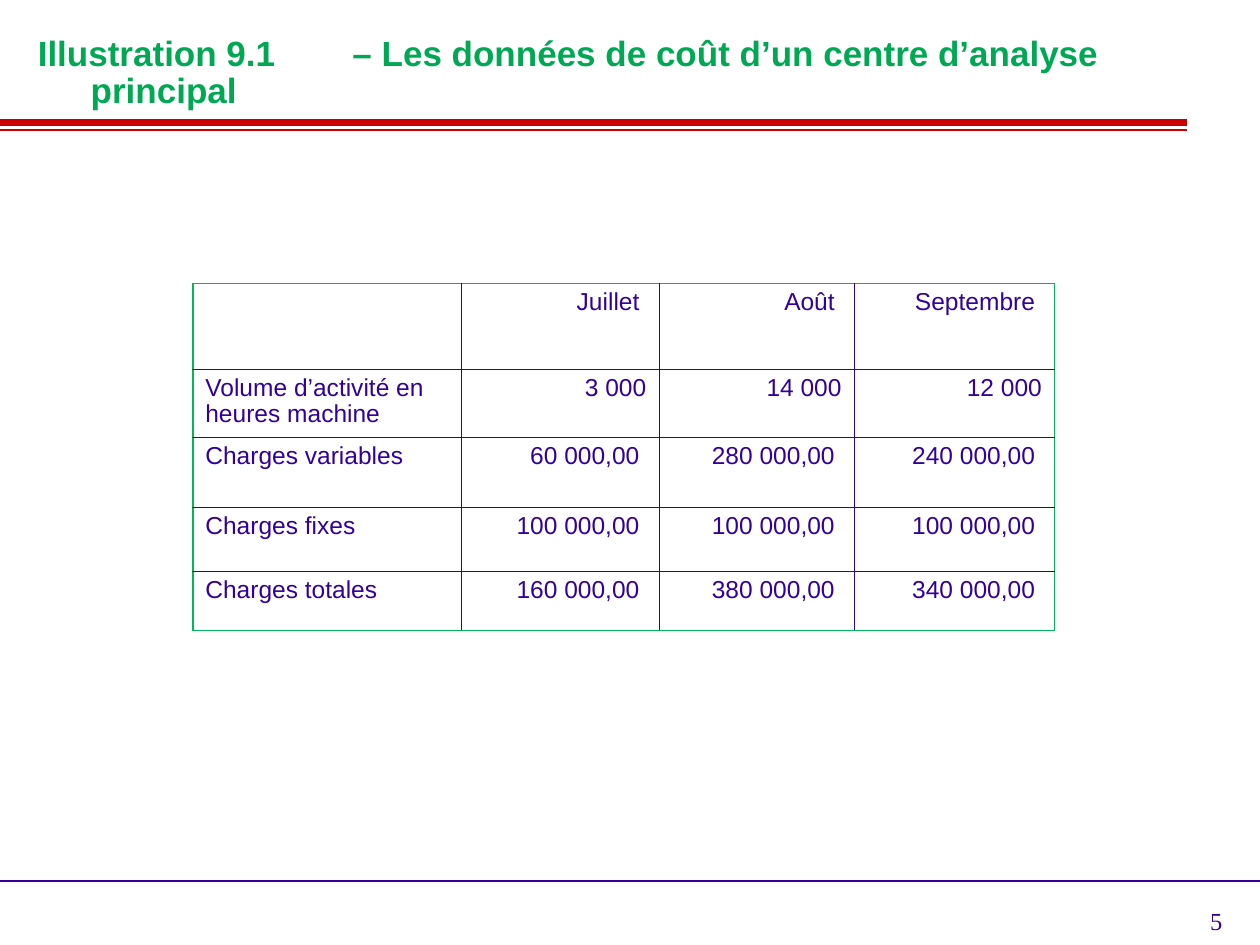
from dataclasses import dataclass

from lxml import etree
from pptx import Presentation
from pptx.dml.color import RGBColor
from pptx.enum.shapes import MSO_CONNECTOR
from pptx.enum.text import MSO_ANCHOR, MSO_AUTO_SIZE, PP_ALIGN
from pptx.oxml.ns import qn
from pptx.util import Inches, Pt

STRAIGHT = MSO_CONNECTOR.STRAIGHT
MIDDLE = MSO_ANCHOR.MIDDLE
NO_AUTOFIT = MSO_AUTO_SIZE.NONE
LEFT, RIGHT = PP_ALIGN.LEFT, PP_ALIGN.RIGHT
TITLE_ONLY = 5


@dataclass(frozen=True)
class Theme:
    red: str = "CC0000"
    purple: str = "330099"
    title_green: str = "00A854"
    frame_green: str = "00B75B"
    sans: str = "Arial"
    serif: str = "Times New Roman"
    title_size: int = 20
    body_size: int = 14
    frame_width: float = 1.08
    grid_width: float = 0.45


THEME = Theme()

TITLE = "Illustration 9.1 \t – Les données de coût d’un centre d’analyse principal"
TITLE_INDENT = 0.42
TITLE_TAB = 2

# Left, top and right end of each rule, with its colour and width
RULES = [
    (1.03, 9.42, THEME.red, 1),
    (0.97, 9.42, THEME.red, 4),
    (6.99, 10, THEME.purple, 1),
]

COLUMN_WIDTHS = [2.13, 1.57, 1.55, 1.59]
ROW_HEIGHTS = [0.68, 0.54, 0.55, 0.51, 0.47]
COSTS = [
    ["", "Juillet ", "Août ", "Septembre "],
    ["Volume d’activité en heures machine", "3 000", "14 000", "12 000"],
    ["Charges variables", "60 000,00 ", "280 000,00 ", "240 000,00 "],
    ["Charges fixes", "100 000,00 ", "100 000,00 ", "100 000,00 "],
    ["Charges totales", "160 000,00 ", "380 000,00 ", "340 000,00 "],
]


def set_format(target, values):
    for name, value in values.items():
        setattr(target, name, value)


def write_text(para, text, font_name, size, color, bold=False, **para_format):
    para.text = text
    set_format(para, para_format)
    set_format(para.font, {"name": font_name, "size": Pt(size), "bold": bold})
    para.font.color.rgb = RGBColor.from_string(color)


def add_rule(page, top, right, color, width):
    rule = page.shapes.add_connector(
        STRAIGHT, Inches(0), Inches(top), Inches(right), Inches(top))
    rule.line.color.rgb = RGBColor.from_string(color)
    rule.line.width = Pt(width)
    etree.SubElement(rule.element.spPr, qn("a:effectLst"))


def set_hanging_tab(para, indent, tab):
    """Give the paragraph a hanging indent and one left tab stop, in inches."""
    properties = para._p.get_or_add_pPr()
    properties.set("marL", str(Inches(indent)))
    properties.set("indent", str(-Inches(indent)))
    tabs = etree.SubElement(properties, qn("a:tabLst"))
    etree.SubElement(tabs, qn("a:tab"), pos=str(Inches(tab)), algn="l")


def add_title(page):
    title = page.shapes.title
    set_format(title, {"left": Inches(0.2), "top": Inches(-0.08),
                       "width": Inches(9.45), "height": Inches(1.33)})
    frame = title.text_frame
    set_format(frame, {"word_wrap": True, "auto_size": NO_AUTOFIT,
                       "vertical_anchor": MIDDLE})
    para = frame.paragraphs[0]
    set_hanging_tab(para, TITLE_INDENT, TITLE_TAB)
    write_text(para, TITLE, THEME.sans, THEME.title_size, THEME.title_green,
               bold=True, alignment=LEFT, line_spacing=0.9)


def add_page_number(page, number):
    box = page.shapes.add_textbox(
        Inches(7.47), Inches(7.14), Inches(2.33), Inches(0.52))
    box.text_frame.word_wrap = True
    write_text(box.text_frame.paragraphs[0], number, THEME.serif,
               THEME.body_size, THEME.purple, alignment=RIGHT)


def set_borders(cell, outer_sides):
    """Draw the frame on the outer sides of a cell and the grid on the others."""
    properties = cell._tc.get_or_add_tcPr()
    for side in "LRTB":
        if side in outer_sides:
            color, width = THEME.frame_green, THEME.frame_width
        else:
            color, width = THEME.purple, THEME.grid_width
        line = etree.SubElement(properties, qn(f"a:ln{side}"), w=str(Pt(width)))
        fill = etree.SubElement(line, qn("a:solidFill"))
        etree.SubElement(fill, qn("a:srgbClr"), val=color)


def add_cost_table(page):
    table = page.shapes.add_table(
        len(ROW_HEIGHTS), len(COLUMN_WIDTHS), Inches(1.53), Inches(2.25),
        Inches(sum(COLUMN_WIDTHS)), Inches(sum(ROW_HEIGHTS))).table
    set_format(table, {"first_row": False, "horz_banding": False})
    for column, width in zip(table.columns, COLUMN_WIDTHS):
        column.width = Inches(width)
    for row, height in zip(table.rows, ROW_HEIGHTS):
        row.height = Inches(height)

    last_row, last_column = len(ROW_HEIGHTS) - 1, len(COLUMN_WIDTHS) - 1
    for r, texts in enumerate(COSTS):
        for c, text in enumerate(texts):
            cell = table.cell(r, c)
            edges = {"L": c == 0, "R": c == last_column,
                     "T": r == 0, "B": r == last_row}
            set_borders(cell, [side for side, outer in edges.items() if outer])
            cell.fill.background()
            write_text(cell.text_frame.paragraphs[0], text, THEME.sans,
                       THEME.body_size, THEME.purple, line_spacing=0.95,
                       alignment=RIGHT if c else LEFT)


def main():
    deck = Presentation()
    set_format(deck, {"slide_width": Inches(10), "slide_height": Inches(7.5)})
    page = deck.slides.add_slide(deck.slide_layouts[TITLE_ONLY])
    for rule in RULES:
        add_rule(page, *rule)
    add_page_number(page, "5")
    add_title(page)
    add_cost_table(page)
    deck.save("out.pptx")


if __name__ == "__main__":
    main()
